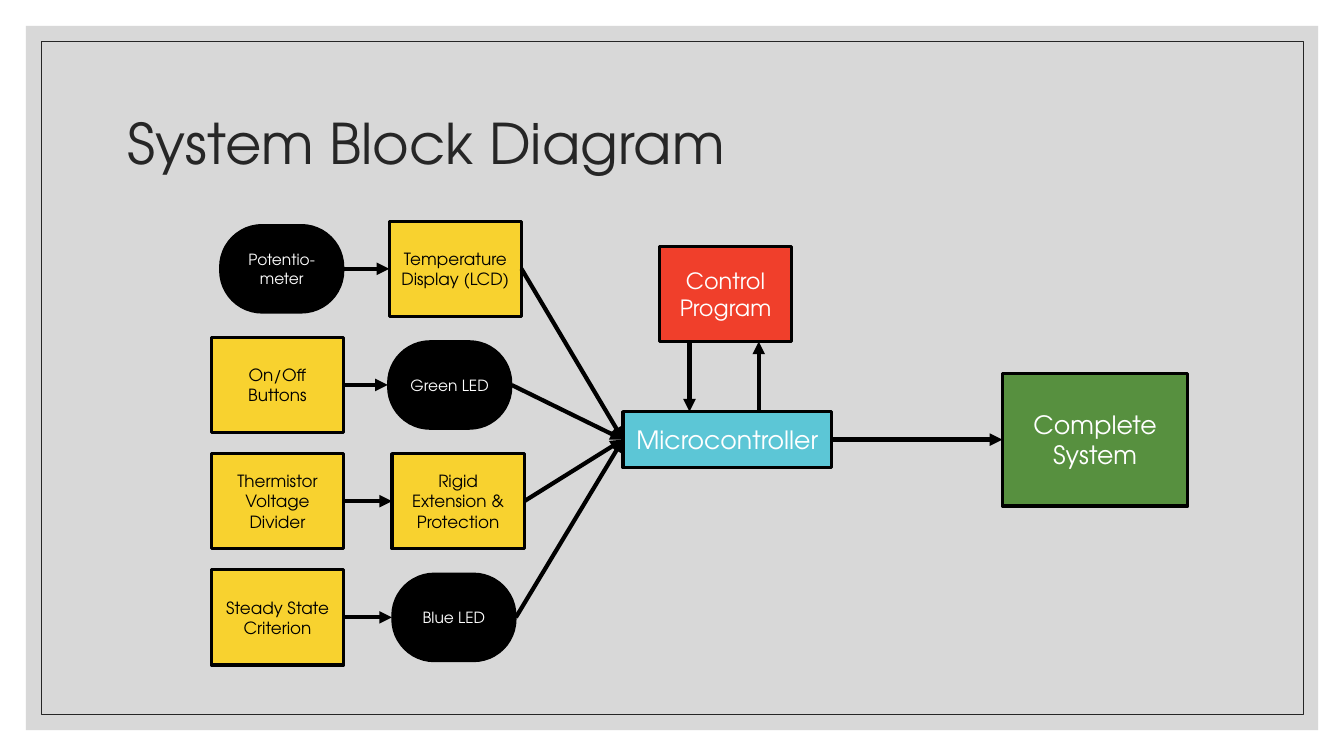
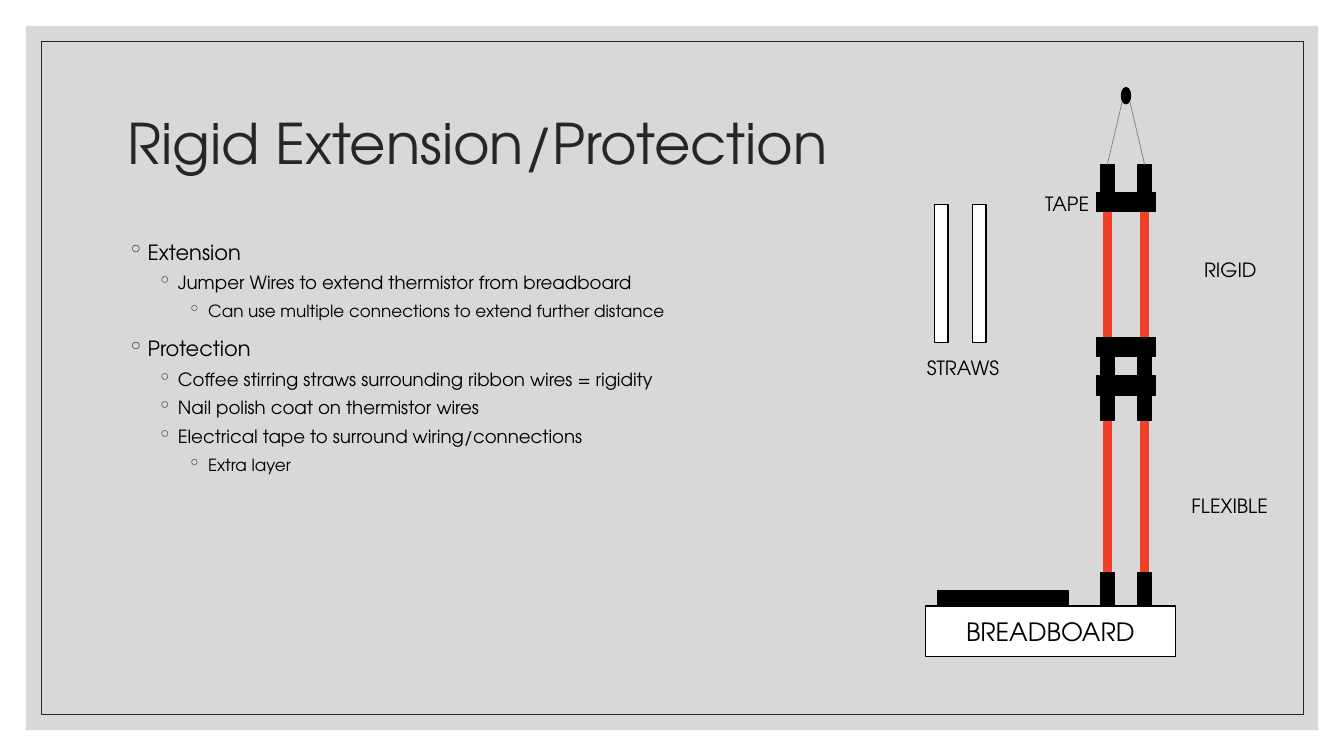
from lxml import etree
from pptx import Presentation
from pptx.dml.color import RGBColor
from pptx.enum import shapes, text
from pptx.oxml.ns import qn
from pptx.util import Pt

FONT = "TeX Gyre Adventor"
BLACK, WHITE, INK = "000000", "FFFFFF", "262626"
GREY, LEAD = "BFBFBF", "808080"
YELLOW, RED, BLUE, GREEN = "F8D22F", "F03F2B", "5CC6D6", "57903F"
RECT = shapes.MSO_SHAPE.RECTANGLE
PILL = shapes.MSO_SHAPE.ROUNDED_RECTANGLE
OVAL = shapes.MSO_SHAPE.OVAL
TOP, LEFT, BOTTOM, RIGHT = range(4)

OUTLINE = [
    (0, "Extension"),
    (1, "Jumper Wires to extend thermistor from breadboard"),
    (2, "Can use multiple connections to extend further distance"),
    (0, "Protection"),
    (1, "Coffee stirring straws surrounding ribbon wires = rigidity"),
    (1, "Nail polish coat on thermistor wires"),
    (1, "Electrical tape to surround wiring/connections"),
    (2, "Extra layer"),
]
LEVELS = [(14.4, 15, 9, 1.1), (36, 13, 5, 1), (57.6, 12, 5, 1)]


def rgb(value):
    """Turn a hex string into a colour."""
    return RGBColor.from_string(value)


def add_run(p, words, size, color):
    """Append one formatted run to a paragraph."""
    r = p.add_run()
    r.text = words
    r.font.name, r.font.size = FONT, Pt(size)
    r.font.color.rgb = rgb(color)


def add_box(s, kind, x, y, w, h, fill=None, line=None, weight=1):
    """Add a flat preset shape."""
    sp = s.shapes.add_shape(kind, Pt(x), Pt(y), Pt(w), Pt(h))
    sp.shadow.inherit = False
    if fill:
        sp.fill.solid()
        sp.fill.fore_color.rgb = rgb(fill)
    else:
        sp.fill.background()
    if line:
        sp.line.color.rgb = rgb(line)
        sp.line.width = Pt(weight)
    else:
        sp.line.fill.background()
    return sp


def add_words(sp, words, size, color):
    """Centre one paragraph per line of words in a shape."""
    tf = sp.text_frame
    tf.word_wrap = True
    tf.vertical_anchor = text.MSO_ANCHOR.MIDDLE
    for i, part in enumerate(words.split("\n")):
        p = tf.add_paragraph() if i else tf.paragraphs[0]
        p.alignment = text.PP_ALIGN.CENTER
        add_run(p, part, size, color)


def add_block(s, x, y, w, h, words, fill, size, color=WHITE):
    """Add an outlined rectangle with a caption."""
    sp = add_box(s, RECT, x, y, w, h, fill, BLACK, 2.25)
    add_words(sp, words, size, color)
    return sp


def add_line(s, x1, y1, x2, y2, color=BLACK, weight=3, arrow=False):
    """Add a straight connector, with an arrowhead on request."""
    c = s.shapes.add_connector(shapes.MSO_CONNECTOR.STRAIGHT,
                               Pt(x1), Pt(y1), Pt(x2), Pt(y2))
    c.line.color.rgb = rgb(color)
    c.line.width = Pt(weight)
    spPr = c._element.spPr
    if arrow:
        etree.SubElement(spPr.find(qn("a:ln")), qn("a:tailEnd"), type="triangle")
    etree.SubElement(spPr, qn("a:effectLst"))
    return c


def join(s, a, b):
    """Draw an arrow from the right side of a to the left side of b."""
    c = add_line(s, 0, 0, 0, 0, arrow=True)
    c.begin_connect(a, RIGHT)
    c.end_connect(b, LEFT)


def add_slide(prs, title):
    """Add a titled slide with the shared grey panel and thin frame."""
    s = prs.slides.add_slide(prs.slide_layouts[5])
    sp = s.shapes.title
    sp.left, sp.top, sp.width, sp.height = Pt(84), Pt(50.4), Pt(792), Pt(108)
    tf = sp.text_frame
    tf.word_wrap = True
    tf.vertical_anchor = text.MSO_ANCHOR.MIDDLE
    p = tf.paragraphs[0]
    p.alignment = text.PP_ALIGN.LEFT
    p.line_spacing = 0.9
    add_run(p, title, 40, INK)
    panel = add_box(s, RECT, 18.5, 18.5, 923, 503, GREY)
    tint = panel._element.spPr.find(".//" + qn("a:srgbClr"))
    etree.SubElement(tint, qn("a:alpha"), val="60000")
    frame = add_box(s, RECT, 29.5, 29.5, 901.5, 481, None, INK, 0.5)
    for back in (panel, frame):
        sp._element.addprevious(back._element)
    return s


def add_part(s, x, mid, words, pill, align_right=False):
    """Add a yellow card or black pill centred on a row."""
    w, h = (88.5, 63) if pill else (94.5, 68)
    left, top = (x - w if align_right else x), mid - h / 2
    if not pill:
        return add_block(s, left, top, w, h, words, YELLOW, 12, BLACK)
    sp = add_box(s, PILL, left, top, w, h, BLACK, BLACK)
    sp.adjustments[0] = 0.48
    add_words(sp, words, 11, WHITE)
    return sp


def block_diagram(s, x, y):
    """Draw the system blocks from the corner x, y."""
    mid = y + 156
    micro = add_block(s, x + 294, mid - 20, 149, 40, "Microcontroller", BLUE, 18)
    add_block(s, x + 320, y + 18, 94.5, 68, "Control Program", RED, 16)
    system = add_block(s, x + 565, mid - 47.5, 132.5, 95, "Complete System", GREEN, 18)
    rows = [
        ("Potentio-\nmeter", True, 127, "Temperature Display (LCD)", False),
        ("On/Off Buttons", False, 126, "Green LED", True),
        ("Thermistor Voltage Divider", False, 129, "Rigid Extension & Protection", False),
        ("Steady State Criterion", False, 129, "Blue LED", True),
    ]
    for i, (source, source_pill, dx, sink, sink_pill) in enumerate(rows):
        row = y + 34 + 83 * i
        a = add_part(s, x + 94.5, row, source, source_pill, True)
        b = add_part(s, x + dx, row, sink, sink_pill)
        join(s, a, b)
        join(s, b, micro)
    join(s, micro, system)
    add_line(s, x + 341.5, y + 86, x + 341.5, mid - 20, arrow=True)
    add_line(s, x + 391, mid - 20, x + 391, y + 86, arrow=True)


def outline(s, x, y, w, h):
    """Write the bulleted outline in a box."""
    tf = s.shapes.add_textbox(Pt(x), Pt(y), Pt(w), Pt(h)).text_frame
    tf.word_wrap = True
    for i, (level, words) in enumerate(OUTLINE):
        indent, size, before, spacing = LEVELS[level]
        p = tf.add_paragraph() if i else tf.paragraphs[0]
        p.level = level
        pPr = p._p.get_or_add_pPr()
        pPr.set("marL", str(Pt(indent)))
        pPr.set("indent", str(-Pt(14.4)))
        etree.SubElement(etree.SubElement(pPr, qn("a:buClr")), qn("a:srgbClr"), val=INK)
        etree.SubElement(pPr, qn("a:buChar"), char="◦")
        p.line_spacing = spacing
        p.space_before = Pt(before if i else 0)
        add_run(p, words, size, BLACK)


def probe(s, x, y):
    """Draw the thermistor probe on its breadboard from the corner x, y."""
    axis = x + 149.3
    board = add_box(s, RECT, x + 6, y + 371, 178.5, 36, WHITE, BLACK)
    add_words(board, "BREADBOARD", 18, BLACK)
    add_box(s, RECT, x + 15, y + 360, 93, 11, BLACK, BLACK)
    for side in (-1, 1):
        wire = axis + side * 13.3
        for top, bottom in ((75.5, 212), (234, 371)):
            add_line(s, wire, y + bottom, wire, y + top, RED, 6)
        for top in (55.5, 188.5, 214.5, 347):
            add_box(s, RECT, wire - 4.7, y + top, 9.4, 24, BLACK, BLACK)
        add_line(s, wire, y + 55.5, axis + side * 2.6, y + 10, LEAD, 0.5)
    for top in (75.5, 179, 206.5):
        add_box(s, RECT, axis - 21.25, y + top, 42.5, 13.7, BLACK, BLACK)
    add_box(s, OVAL, axis - 3.25, y + 0.6, 6.5, 11.5, BLACK, BLACK)
    for dx in (12.4, 39.6):
        add_box(s, RECT, x + dx, y + 84, 9.7, 98.6, WHITE, BLACK)
    labels = [("STRAWS", 0, 188.6), ("FLEXIBLE", 189, 287),
              ("RIGID", 198, 118.7), ("TAPE", 84.4, 71.2)]
    for words, dx, dy in labels:
        tf = s.shapes.add_textbox(Pt(x + dx), Pt(y + dy), Pt(80), Pt(24.5)).text_frame
        tf.word_wrap = True
        add_run(tf.paragraphs[0], words, 14, BLACK)


def main():
    """Build and save the two slides."""
    prs = Presentation()
    prs.slide_width, prs.slide_height = Pt(960), Pt(540)
    block_diagram(add_slide(prs, "System Block Diagram"), 151, 158)
    s = add_slide(prs, "Rigid Extension/Protection")
    outline(s, 84, 165.6, 541, 303)
    probe(s, 655, 62)
    prs.save("out.pptx")


if __name__ == "__main__":
    main()
